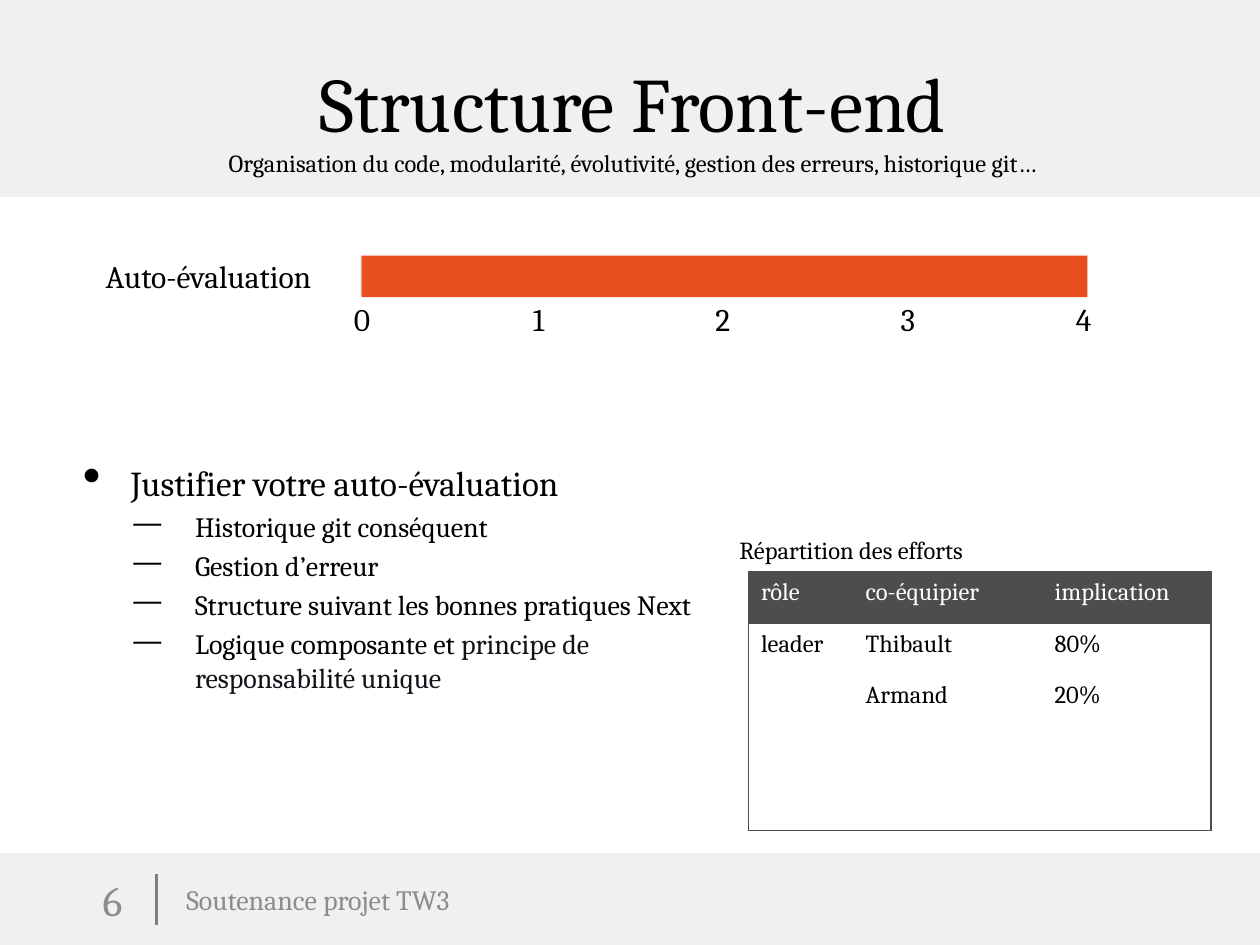
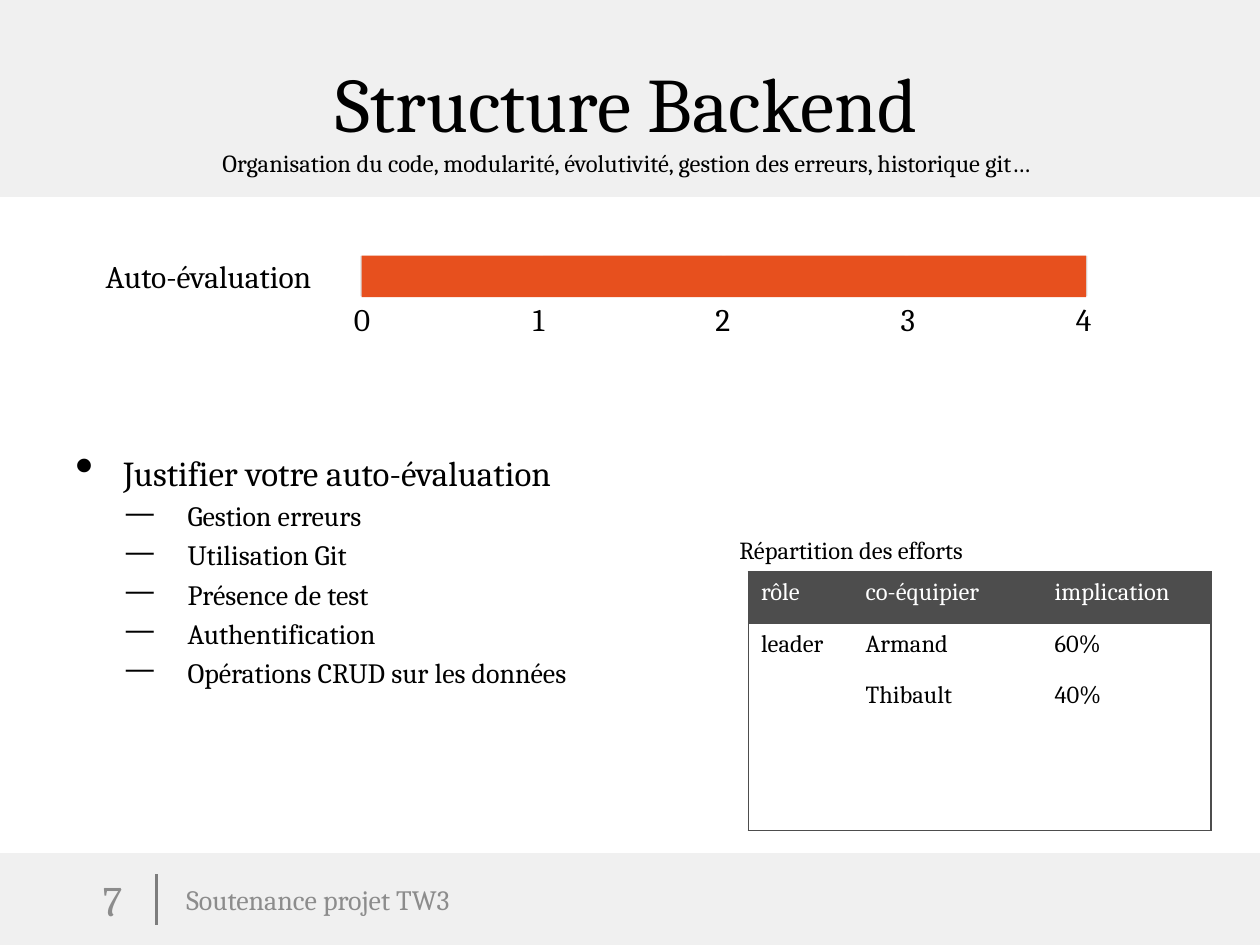
from dataclasses import dataclass

from lxml import etree
from pptx import Presentation
from pptx import util as u
from pptx.dml.color import RGBColor
from pptx.enum import shapes, text
from pptx.oxml import ns

PX = 9144
NO_TABLE_STYLE = "{2D5ABB26-0587-4C30-8999-92F81FD0307C}"
SUBTITLE = "Organisation du code, modularité, évolutivité, gestion des erreurs, historique git…"
FOOTER = "Soutenance projet TW3"
ROLE_HEADER = ("rôle", "co-équipier", "implication")


@dataclass(frozen=True)
class Theme:
    font: str = "Cambria"
    ink: str = "000000"
    soft_ink: str = "101418"
    paper: str = "FFFFFF"
    band: str = "F0F0F0"
    rule: str = "7D7D7D"
    muted: str = "8C8C8C"
    gauge_cell: str = "DDDDDD"
    gauge_bar: str = "E7501E"
    table_dark: str = "4D4D4D"
    title: int = 44
    number: int = 24
    point: int = 20
    label: int = 18
    detail: int = 16
    small: int = 14


def px(*lengths):
    return [u.Emu(length * PX) for length in lengths]


def rgb(color):
    return RGBColor.from_string(color)


def add_xml(parent, tag, **attributes):
    return etree.SubElement(parent, ns.qn(tag), attributes)


class Painter:
    def __init__(self, deck, theme):
        self.deck = deck
        self.theme = theme
        self.page = None

    def start_page(self):
        self.page = self.deck.slides.add_slide(self.deck.slide_layouts[5])

    def style(self, span, size, color=None):
        span.font.name = self.theme.font
        span.font.size = u.Pt(size)
        span.font.color.rgb = rgb(color or self.theme.ink)

    def rectangle(self, left, top, width, height, color, outline=0):
        shape = self.page.shapes.add_shape(
            shapes.MSO_SHAPE.RECTANGLE, *px(left, top, width, height))
        shape.shadow.inherit = False
        shape.fill.solid()
        shape.fill.fore_color.rgb = rgb(color)
        if outline:
            shape.line.color.rgb = rgb(color)
            shape.line.width = u.Pt(outline)
        else:
            shape.line.fill.background()

    def vertical_rule(self, left, top, bottom):
        rule = self.page.shapes.add_connector(
            shapes.MSO_CONNECTOR.STRAIGHT, *px(left, top, left, bottom))
        rule.line.color.rgb = rgb(self.theme.rule)
        rule.line.width = u.Pt(1.5)
        add_xml(rule.element.spPr, "a:effectLst")

    def label(self, words, left, top, width, height, size, color=None,
              align=text.PP_ALIGN.LEFT, anchor=text.MSO_ANCHOR.TOP, wrap=True):
        box = self.page.shapes.add_textbox(*px(left, top, width, height))
        frame = box.text_frame
        frame.word_wrap = wrap
        frame.vertical_anchor = anchor
        frame.text = words
        para = frame.paragraphs[0]
        para.alignment = align
        self.style(para.runs[0], size, color)

    def title(self, words, left, width):
        title = self.page.shapes.title
        title.element.getparent().append(title.element)
        title.left, title.top, title.width, title.height = px(left, 30, width, 125)
        frame = title.text_frame
        frame.text = f"{words}\v{SUBTITLE}"
        frame.word_wrap = True
        frame.auto_size = text.MSO_AUTO_SIZE.NONE
        frame.vertical_anchor = text.MSO_ANCHOR.MIDDLE
        para = frame.paragraphs[0]
        para.alignment = text.PP_ALIGN.CENTER
        for span, size in zip(para.runs, (self.theme.title, self.theme.small)):
            self.style(span, size)

    def bullet(self, para, mark, margin, hanging, percent=100):
        properties = para._p.get_or_add_pPr()
        properties.set("marL", str(margin * PX))
        properties.set("indent", str(-hanging * PX))
        color = add_xml(properties, "a:buClr")
        add_xml(color, "a:srgbClr", val=self.theme.ink)
        add_xml(properties, "a:buSzPct", val=str(percent * 1000))
        add_xml(properties, "a:buChar", char=mark)

    def justification(self, left, top, details, soft_ending):
        box = self.page.shapes.add_textbox(*px(left, top, 529, 374))
        frame = box.text_frame
        frame.word_wrap = True
        frame.vertical_anchor = text.MSO_ANCHOR.MIDDLE
        frame.margin_bottom = px(66)[0]
        frame.text = "\n".join(("Justifier votre auto-évaluation", *details))
        heading, *items = frame.paragraphs
        self.bullet(heading, "•", 38, 38, 150)
        self.style(heading.runs[0], self.theme.point)
        for para in items:
            para.level = 1
            para.space_before = u.Pt(3.2)
            self.bullet(para, "—", 89, 49)
            self.style(para.runs[0], self.theme.detail)
        if soft_ending:
            span = items[-1].add_run()
            span.text = soft_ending
            self.style(span, self.theme.detail, self.theme.soft_ink)

    def cell_borders(self, cell, sides):
        properties = cell._tc.get_or_add_tcPr()
        for side in sides:
            line = add_xml(properties, f"a:ln{side}", w=str(u.Pt(0.96)))
            fill = add_xml(line, "a:solidFill")
            add_xml(fill, "a:srgbClr", val=self.theme.table_dark)

    def effort_table(self, members):
        row_count, widths = 5, (83, 150, 134)
        frame = self.page.shapes.add_table(
            row_count, len(widths), *px(594, 454, sum(widths), 203))
        for style_id in frame.element.iter(ns.qn("a:tableStyleId")):
            style_id.text = NO_TABLE_STYLE
        table = frame.table
        table.horz_banding = False
        for column, width in zip(table.columns, px(*widths)):
            column.width = width
        rows = [ROLE_HEADER, *members]
        last_row, last_column = row_count - 1, len(widths) - 1
        for r, row in enumerate(table.rows):
            row.height = px(41)[0]
            for c, cell in enumerate(row.cells):
                edges = {"L": c == 0, "R": c == last_column,
                         "T": r == 0, "B": r == last_row}
                self.cell_borders(cell, [side for side, on in edges.items() if on])
                if r == 0:
                    cell.fill.solid()
                    cell.fill.fore_color.rgb = rgb(self.theme.table_dark)
                else:
                    cell.fill.background()
                if r < len(rows) and rows[r][c]:
                    cell.text_frame.text = rows[r][c]
                    color = self.theme.ink if r else self.theme.paper
                    self.style(cell.text_frame.paragraphs[0].runs[0],
                               self.theme.small, color)

    def bands(self):
        for top, height in ((0, 155), (678, 72)):
            self.rectangle(0, top, 1000, height, self.theme.band, 2)
        self.vertical_rule(124, 694, 734)

    def gauge(self, bar_width):
        self.label("Auto-évaluation", 74, 199, 228, 40, self.theme.label)
        for step in range(4):
            self.rectangle(286 + 145 * step, 203, 142, 32, self.theme.gauge_cell)
        for mark, left in enumerate((271, 413, 558, 705, 844)):
            self.label(str(mark), left, 233, 31, 40, self.theme.label)
        self.rectangle(287, 203, bar_width, 33, self.theme.gauge_bar)

    def footer(self, number):
        middle = text.MSO_ANCHOR.MIDDLE
        self.label(FOOTER, 138, 694, 488, 40, self.theme.detail,
                   self.theme.muted, anchor=middle)
        self.label(str(number), 20, 694, 87, 40, self.theme.number,
                   self.theme.muted, text.PP_ALIGN.RIGHT, middle)


@dataclass(frozen=True)
class Review:
    number: int
    title: str
    title_span: tuple
    body_corner: tuple
    bar_width: int
    details: tuple
    members: tuple
    soft_ending: str = ""


REVIEWS = (
    Review(
        6, "Structure Front-end", (56, 893), (56, 302), 576,
        ("Historique git conséquent", "Gestion d’erreur",
         "Structure suivant les bonnes pratiques Next", "Logique composante et "),
        (("leader", "Thibault", "80%"), ("", "Armand", "20%")),
        "principe de responsabilité unique"),
    Review(
        7, "Structure Backend", (45, 905), (50, 296), 575,
        ("Gestion erreurs", "Utilisation Git", "Présence de test",
         "Authentification", "Opérations CRUD sur les données"),
        (("leader", "Armand", "60%"), ("", "Thibault", "40%"))),
)


def main():
    deck = Presentation()
    deck.slide_width, deck.slide_height = px(1000, 750)
    theme = Theme()
    painter = Painter(deck, theme)
    for review in REVIEWS:
        painter.start_page()
        painter.bands()
        painter.title(review.title, *review.title_span)
        painter.gauge(review.bar_width)
        painter.justification(*review.body_corner, review.details, review.soft_ending)
        painter.effort_table(review.members)
        painter.label("Répartition des efforts", 577, 420, 227, 33,
                      theme.small, wrap=False)
        painter.footer(review.number)
    deck.save("out.pptx")


if __name__ == "__main__":
    main()
